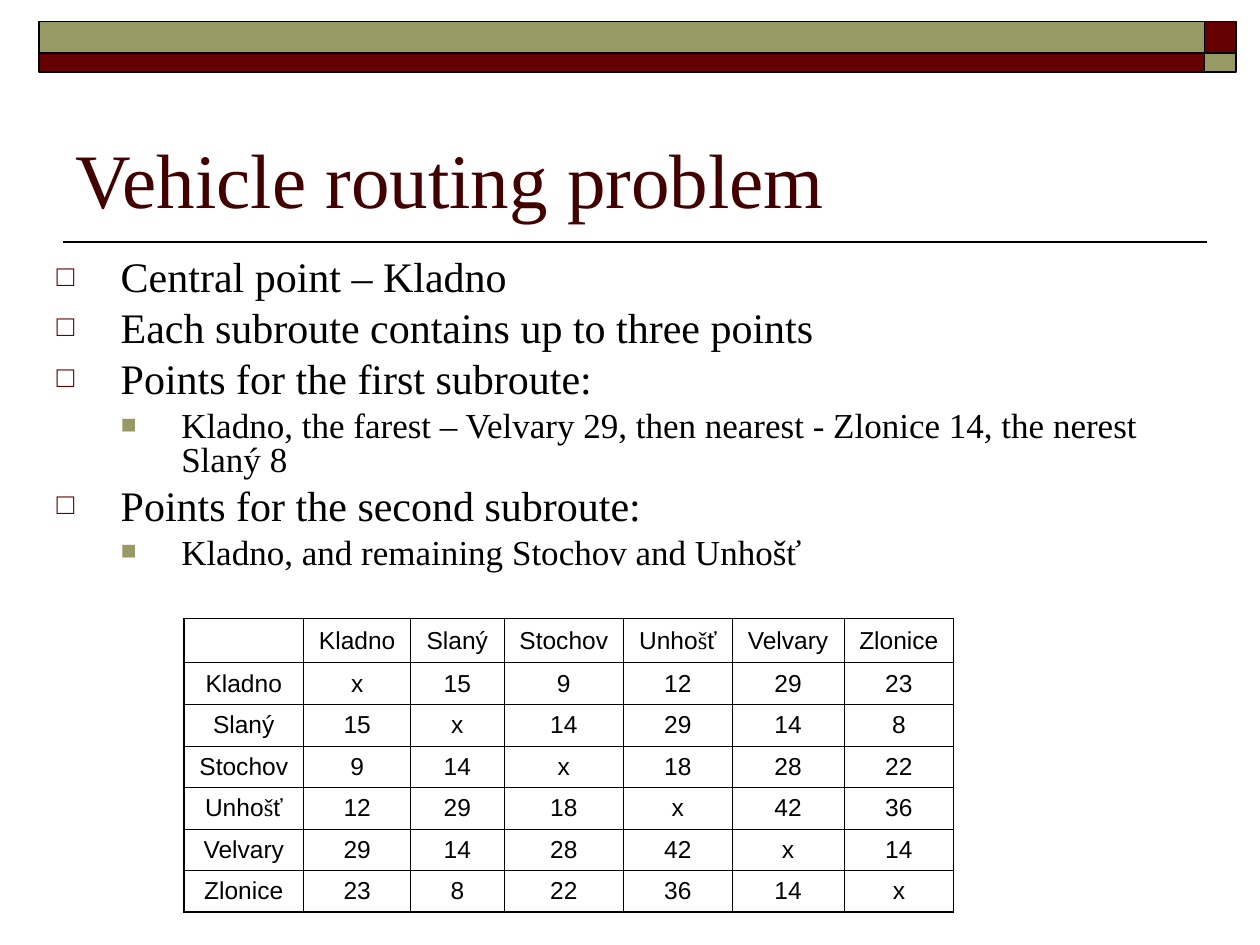
import dataclasses
import itertools

import lxml.etree
import pptx
import pptx.dml.color
import pptx.enum.shapes
import pptx.enum.text
import pptx.oxml.ns
import pptx.util

Inches = pptx.util.Inches
Pt = pptx.util.Pt
qn = pptx.oxml.ns.qn


@dataclasses.dataclass(frozen=True)
class Theme:
    """Colours, fonts, type sizes and line widths of the slide."""
    maroon: str = "660000"
    olive: str = "999966"
    title: str = "420000"
    ink: str = "000000"
    serif: str = "Times New Roman"
    sans: str = "Arial"
    title_size: int = 44
    point_size: int = 24
    detail_size: int = 20
    table_size: int = 14
    heavy_line: float = 1
    thin_line: float = 0.45


@dataclasses.dataclass(frozen=True)
class Level:
    """Look of one bullet level."""
    size: int
    left: float
    hanging: float
    before: int
    mark: str
    mark_colour: str
    mark_percent: int


THEME = Theme()
LEVELS = [
    Level(THEME.point_size, 0.51, 0.51, 6, "□", THEME.maroon, 70),
    Level(THEME.detail_size, 0.99, 0.48, 5, "■", THEME.olive, 75),
]
POINTS = [
    (0, "Central point – Kladno"),
    (0, "Each subroute contains up to three points"),
    (0, "Points for the first subroute:"),
    (1, "Kladno, the farest – Velvary 29, then nearest - Zlonice 14, the nerest Slaný 8"),
    (0, "Points for the second subroute:"),
    (1, "Kladno, and remaining Stochov and Unhošť"),
]
TOWNS = ["Kladno", "Slaný", "Stochov", "Unhošť", "Velvary", "Zlonice"]
DISTANCES = [
    ["x", 15, 9, 12, 29, 23],
    [15, "x", 14, 29, 14, 8],
    [9, 14, "x", 18, 28, 22],
    [12, 29, 18, "x", 42, 36],
    [29, 14, 28, 42, "x", 14],
    [23, 8, 22, 36, 14, "x"],
]
COLUMN_WIDTHS = [0.95, 0.85, 0.74, 0.95, 0.86, 0.89, 0.87]
ROW_HEIGHTS = [0.35] + [0.33] * len(TOWNS)


def rgb(colour):
    """Turn a hex string into a colour."""
    return pptx.dml.color.RGBColor.from_string(colour)


def add_span(para, text, font, size, colour):
    """Add one formatted run to a paragraph."""
    span = para.add_run()
    span.text = text
    span.font.name = font
    span.font.size = Pt(size)
    span.font.color.rgb = rgb(colour)


def add_band(page, left, top, width, height, colour):
    """Draw one outlined rectangle of the header band."""
    band = page.shapes.add_shape(
        pptx.enum.shapes.MSO_SHAPE.RECTANGLE,
        Inches(left), Inches(top), Inches(width), Inches(height))
    band.shadow.inherit = False
    band.fill.solid()
    band.fill.fore_color.rgb = rgb(colour)
    band.line.color.rgb = rgb(THEME.ink)
    band.line.width = Pt(1)


def add_header(page):
    """Draw the two-by-two band with alternating colours."""
    columns = [(0.31, 9.25), (9.56, 0.25)]
    rows = [(0.17, 0.25), (0.42, 0.15)]
    for (i, (top, height)), (j, (left, width)) in itertools.product(
            enumerate(rows), enumerate(columns)):
        colour = THEME.olive if i == j else THEME.maroon
        add_band(page, left, top, width, height, colour)


def add_rule(page):
    """Draw the line under the title."""
    rule = page.shapes.add_connector(
        pptx.enum.shapes.MSO_CONNECTOR.STRAIGHT,
        Inches(0.5), Inches(1.92), Inches(9.58), Inches(1.92))
    rule.line.color.rgb = rgb(THEME.ink)
    rule.line.width = Pt(1)
    lxml.etree.SubElement(rule._element.spPr, qn("a:effectLst"))


def set_title(page, text):
    """Place and fill the title placeholder."""
    title = page.shapes.title
    title.left, title.top = Inches(0.5), Inches(0.58)
    title.width, title.height = Inches(9), Inches(1.25)
    frame = title.text_frame
    frame.auto_size = pptx.enum.text.MSO_AUTO_SIZE.NONE
    frame.vertical_anchor = pptx.enum.text.MSO_ANCHOR.BOTTOM
    para = frame.paragraphs[0]
    para.alignment = pptx.enum.text.PP_ALIGN.LEFT
    add_span(para, text, THEME.serif, THEME.title_size, THEME.title)


def set_bullet(para, level):
    """Give a paragraph its indent and bullet."""
    properties = para._p.get_or_add_pPr()
    properties.set("marL", str(Inches(level.left)))
    properties.set("indent", str(-Inches(level.hanging)))
    colour = lxml.etree.SubElement(properties, qn("a:buClr"))
    lxml.etree.SubElement(colour, qn("a:srgbClr"), val=level.mark_colour)
    lxml.etree.SubElement(properties, qn("a:buSzPct"), val=str(level.mark_percent * 1000))
    lxml.etree.SubElement(properties, qn("a:buFont"), typeface=THEME.sans)
    lxml.etree.SubElement(properties, qn("a:buChar"), char=level.mark)


def add_points(page):
    """Add the bulleted text."""
    box = page.shapes.add_textbox(Inches(0.35), Inches(2.02), Inches(9.29), Inches(2.68))
    frame = box.text_frame
    frame.word_wrap = True
    for index, (depth, text) in enumerate(POINTS):
        para = frame.add_paragraph() if index else frame.paragraphs[0]
        level = LEVELS[depth]
        para.level = depth
        para.line_spacing = 0.8
        para.space_before = Pt(level.before)
        set_bullet(para, level)
        add_span(para, text, THEME.serif, level.size, THEME.ink)


def set_borders(cell, row, column):
    """Rule a cell, heavier around the headings and the outside."""
    edges = [("L", column, len(COLUMN_WIDTHS)), ("R", column + 1, len(COLUMN_WIDTHS)),
             ("T", row, len(ROW_HEIGHTS)), ("B", row + 1, len(ROW_HEIGHTS))]
    properties = cell._tc.get_or_add_tcPr()
    for position, (side, edge, last) in enumerate(edges):
        width = THEME.heavy_line if edge in (0, 1, last) else THEME.thin_line
        line = lxml.etree.Element(qn(f"a:ln{side}"), w=str(Pt(width)))
        fill = lxml.etree.SubElement(line, qn("a:solidFill"))
        lxml.etree.SubElement(fill, qn("a:srgbClr"), val=THEME.ink)
        properties.insert(position, line)


def fill_cell(cell, text):
    """Write centred text in a cell, with š in the serif font."""
    cell.fill.background()
    cell.vertical_anchor = pptx.enum.text.MSO_ANCHOR.MIDDLE
    para = cell.text_frame.paragraphs[0]
    para.alignment = pptx.enum.text.PP_ALIGN.CENTER
    for is_serif, letters in itertools.groupby(text, lambda letter: letter == "š"):
        font = THEME.serif if is_serif else THEME.sans
        add_span(para, "".join(letters), font, THEME.table_size, THEME.ink)
    lxml.etree.SubElement(para._p, qn("a:endParaRPr"), sz=str(THEME.table_size * 100))


def add_distances(page):
    """Add the table of distances between towns."""
    rows = [["", *TOWNS]] + [[town, *line] for town, line in zip(TOWNS, DISTANCES)]
    table = page.shapes.add_table(
        len(ROW_HEIGHTS), len(COLUMN_WIDTHS), Inches(1.46), Inches(4.91),
        Inches(sum(COLUMN_WIDTHS)), Inches(sum(ROW_HEIGHTS))).table
    table.first_row = table.horz_banding = False
    for column, width in zip(table.columns, COLUMN_WIDTHS):
        column.width = Inches(width)
    for row, height in zip(table.rows, ROW_HEIGHTS):
        row.height = Inches(height)
    for i, values in enumerate(rows):
        for j, value in enumerate(values):
            fill_cell(table.cell(i, j), str(value))
            set_borders(table.cell(i, j), i, j)


def main():
    """Build and save the slide."""
    deck = pptx.Presentation()
    deck.slide_width, deck.slide_height = Inches(10), Inches(7.5)
    page = deck.slides.add_slide(deck.slide_layouts[5])
    add_rule(page)
    add_header(page)
    set_title(page, "Vehicle routing problem")
    add_distances(page)
    add_points(page)
    deck.save("out.pptx")


if __name__ == "__main__":
    main()
